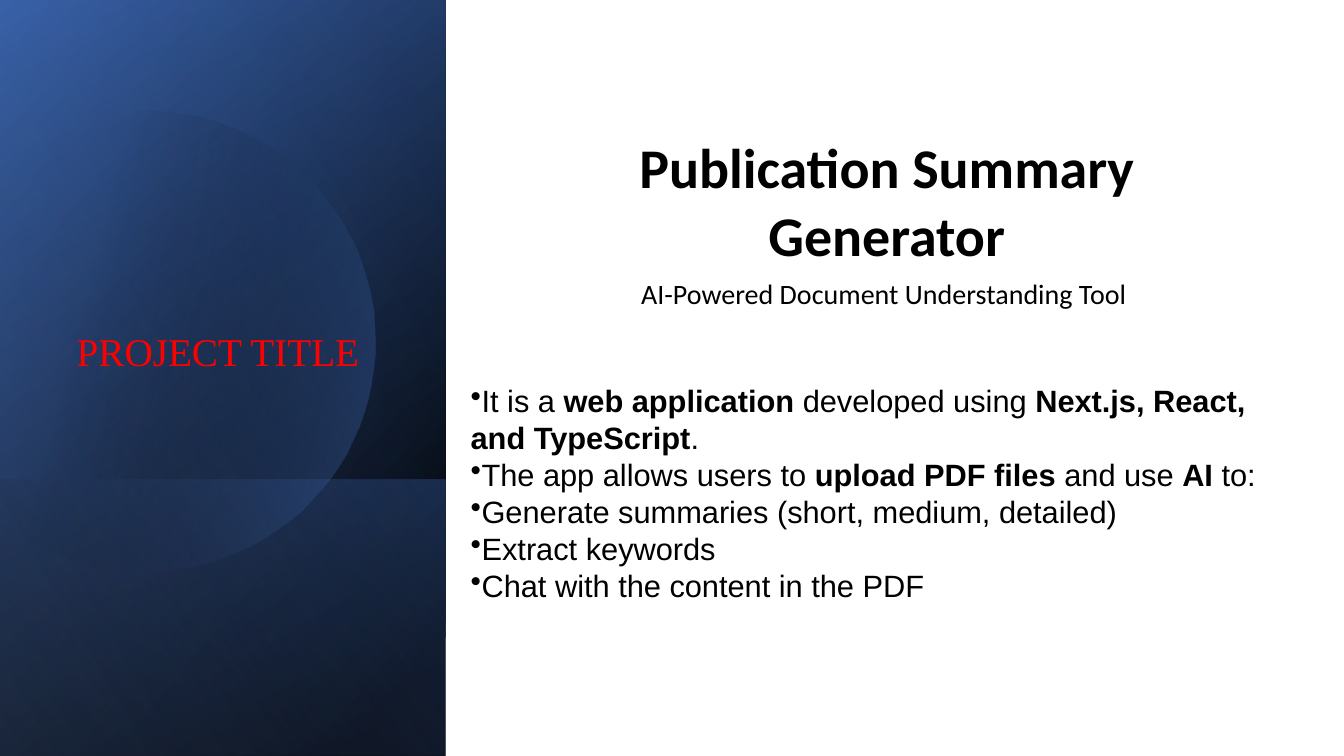
import lxml.etree
import pptx
import pptx.dml.color
import pptx.enum.shapes
import pptx.enum.text
import pptx.oxml.ns
import pptx.util

EMU_PER_PX = 9144
PAGE_WIDTH, PAGE_HEIGHT = 1333, 750
PANEL_WIDTH = 442

WHITE = pptx.dml.color.RGBColor(0xFF, 0xFF, 0xFF)
BLACK = pptx.dml.color.RGBColor(0x00, 0x00, 0x00)
RED = pptx.dml.color.RGBColor(0xFF, 0x00, 0x00)
BLUE = pptx.dml.color.RGBColor(0x44, 0x72, 0xC4)
DARK_BLUE = pptx.dml.color.RGBColor(0x2F, 0x55, 0x97)
LIGHT_BLUE = pptx.dml.color.RGBColor(0x8F, 0xAA, 0xDC)

DISC_START = (149, 110)
DISC_CURVES = [
    [(246, 112), (335, 177), (363, 275)],
    [(398, 397), (328, 523), (207, 558)],
    [(131, 580), (53, 561), (-3, 514)],
    [(-15, 503)],
    [(-15, 175)],
    [(0, 161)],
    [(23, 142), (50, 128), (80, 119)],
    [(103, 113), (126, 110), (149, 110)],
]
CURVE_STEPS = 24

FEATURES = [
    [("It is a ", False), ("web application", True), (" developed using ", False),
     ("Next.js, React, and TypeScript", True), (".", False)],
    [("The app allows users to ", False), ("upload PDF files", True),
     (" and use ", False), ("AI", True), (" to:", False)],
    [("Generate summaries (short, medium, detailed)", False)],
    [("Extract keywords", False)],
    [("Chat with the content in the PDF", False)],
]


def px(length):
    return pptx.util.Emu(length * EMU_PER_PX)


def add_rectangle(page, left, top, width, height):
    shape = page.shapes.add_shape(
        pptx.enum.shapes.MSO_SHAPE.RECTANGLE, px(left), px(top), px(width), px(height))
    shape.shadow.inherit = False
    shape.line.fill.background()
    return shape


def fill_gradient(shape, angle, stops):
    shape.fill.gradient()
    shape.fill.gradient_angle = 360 - angle
    for gradient_stop, (position, color, opacity) in zip(shape.fill.gradient_stops, stops):
        gradient_stop.position = position / 100
        gradient_stop.color.rgb = color
    color_tag = pptx.oxml.ns.qn("a:srgbClr")
    for element, (position, color, opacity) in zip(shape._element.spPr.iter(color_tag), stops):
        alpha = lxml.etree.SubElement(element, pptx.oxml.ns.qn("a:alpha"))
        alpha.set("val", str(opacity * 1000))


def add_panel_layer(page, top, angle, stops):
    length = PAGE_HEIGHT - top
    left = (PANEL_WIDTH - length) // 2
    shape = add_rectangle(page, left, top + (length - PANEL_WIDTH) // 2, length, PANEL_WIDTH)
    shape.rotation = 90
    shape._element.spPr.xfrm.set("flipH", "1")
    fill_gradient(shape, angle, stops)


def curve_points(start, controls):
    if len(controls) == 1:
        return controls
    points = []
    for step in range(1, CURVE_STEPS + 1):
        t = step / CURVE_STEPS
        weights = ((1 - t) ** 3, 3 * t * (1 - t) ** 2, 3 * t ** 2 * (1 - t), t ** 3)
        corners = [start, *controls]
        points.append(tuple(
            sum(weight * corner[axis] for weight, corner in zip(weights, corners))
            for axis in (0, 1)))
    return points


def add_disc(page):
    builder = page.shapes.build_freeform(*DISC_START, scale=EMU_PER_PX)
    start = DISC_START
    for controls in DISC_CURVES:
        builder.add_line_segments(curve_points(start, controls), close=False)
        start = controls[-1]
    builder.add_line_segments([], close=True)
    disc = builder.convert_to_shape()
    disc.shadow.inherit = False
    disc.line.fill.background()
    fill_gradient(disc, 14, [(29, BLACK, 0), (100, BLUE, 43)])


def add_bullet(para):
    bullet = lxml.etree.SubElement(para._p.get_or_add_pPr(), pptx.oxml.ns.qn("a:buChar"))
    bullet.set("char", "•")


def add_text(page, left, top, width, height, paragraphs, font_name, size,
             color=BLACK, centered=False, bulleted=False):
    box = page.shapes.add_textbox(px(left), px(top), px(width), px(height))
    frame = box.text_frame
    frame.word_wrap = True
    frame.auto_size = pptx.enum.text.MSO_AUTO_SIZE.SHAPE_TO_FIT_TEXT
    for index, spans in enumerate(paragraphs):
        para = frame.add_paragraph() if index else frame.paragraphs[0]
        if centered:
            para.alignment = pptx.enum.text.PP_ALIGN.CENTER
        if bulleted:
            add_bullet(para)
        para.font.name = font_name
        para.font.size = pptx.util.Pt(size)
        para.font.color.rgb = color
        for text, bold in spans:
            span = para.add_run()
            span.text = text
            if bold:
                span.font.bold = True


def main():
    deck = pptx.Presentation()
    deck.slide_width = px(PAGE_WIDTH)
    deck.slide_height = px(PAGE_HEIGHT)
    page = deck.slides.add_slide(deck.slide_layouts[6])

    backdrop = add_rectangle(page, 0, 0, PAGE_WIDTH, PAGE_HEIGHT)
    backdrop.fill.solid()
    backdrop.fill.fore_color.rgb = WHITE

    add_panel_layer(page, 0, 50, [(8, BLACK, 100), (100, DARK_BLUE, 100)])
    add_panel_layer(page, 0, 30, [(0, BLACK, 0), (99, BLUE, 46)])
    add_panel_layer(page, 476, 130, [(2, BLUE, 29), (100, BLACK, 30)])
    add_disc(page)
    add_panel_layer(page, 0, 120, [(0, BLACK, 0), (99, LIGHT_BLUE, 11)])

    add_text(page, 18, 320, 406, 57, [[("PROJECT TITLE ", False)]],
             "Times New Roman", 28, color=RED, centered=True)
    add_text(page, 457, 374, 830, 232, FEATURES, "Arial", 22, bulleted=True)
    add_text(page, 551, 127, 657, 145, [[("Publication Summary Generator", True)]],
             "Calibri", 40, centered=True)
    add_text(page, 626, 269, 675, 44, [[("AI-Powered Document Understanding Tool", False)]],
             "Calibri", 20)
    deck.save("out.pptx")


if __name__ == "__main__":
    main()
